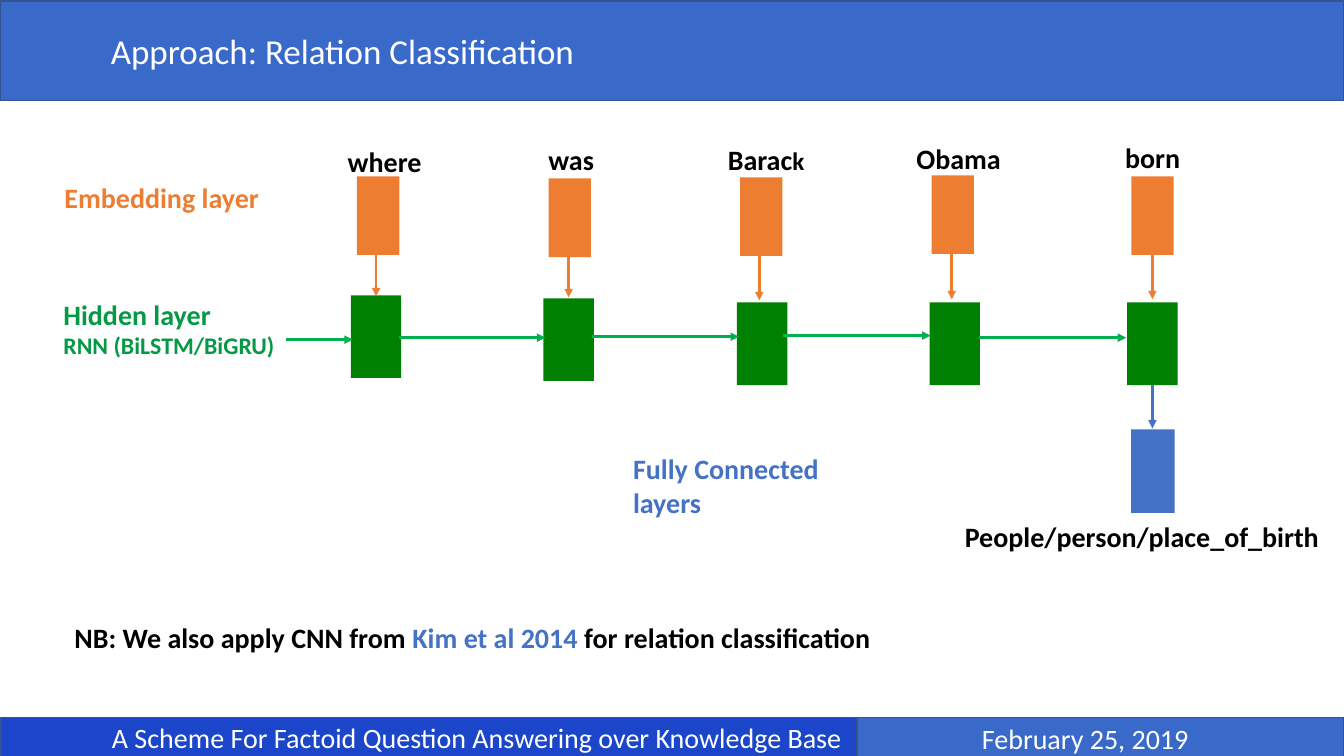
from lxml import etree
from pptx import Presentation
from pptx.dml.color import RGBColor
from pptx.enum.shapes import MSO_CONNECTOR, MSO_SHAPE
from pptx.enum.text import MSO_ANCHOR, MSO_AUTO_SIZE, PP_ALIGN
from pptx.oxml.ns import qn
from pptx.util import Inches, Pt

COLORS = {
    "header": "3A6AC9", "footer": "1B46CA", "border": "325491",
    "embedding": "ED7D31", "hidden": "008000", "hidden_text": "059946",
    "recurrent": "00B050", "dense": "4472C4", "black": "000000", "white": "FFFFFF",
}


def color(name):
    return RGBColor.from_string(COLORS[name])


def write(shape, lines, wrap=True):
    """Fill a shape with lines, each a list of (text, size, color, bold) runs."""
    frame = shape.text_frame
    frame.word_wrap = wrap
    frame.auto_size = MSO_AUTO_SIZE.NONE
    for i, line in enumerate(lines):
        paragraph = frame.paragraphs[0] if i == 0 else frame.add_paragraph()
        for text, size, color_name, bold in line:
            run = paragraph.add_run()
            run.text = text
            run.font.name = "Calibri"
            run.font.size = Pt(size)
            run.font.bold = bold
            run.font.color.rgb = color(color_name)


prs = Presentation()
prs.slide_width, prs.slide_height = Inches(13.33), Inches(7.5)
slide = prs.slides.add_slide(prs.slide_layouts[5])
shapes = slide.shapes

# Header and footer bars
title = shapes.title
title.left, title.top, title.width, title.height = (
    Inches(0), Inches(0.01), Inches(13.33), Inches(0.99))
topic = shapes.add_shape(
    MSO_SHAPE.RECTANGLE, Inches(0.01), Inches(7.12), Inches(8.49), Inches(0.39))
date = shapes.add_shape(
    MSO_SHAPE.RECTANGLE, Inches(8.5), Inches(7.12), Inches(4.83), Inches(0.41))
bars = [
    (title, "Approach: Relation Classification", 25, "header", PP_ALIGN.LEFT, 1.1, 0.1),
    (topic, "A Scheme For Factoid Question Answering over Knowledge Base",
     20, "footer", PP_ALIGN.LEFT, 1.1, 0),
    (date, "February 25, 2019", 20, "header", PP_ALIGN.CENTER, 0.1, 0.4),
]
for bar, text, size, fill, align, left_margin, right_margin in bars:
    bar.fill.solid()
    bar.fill.fore_color.rgb = color(fill)
    bar.line.color.rgb = color("border")
    bar.line.width = Pt(1)
    write(bar, [[(text, size, "white", False)]])
    bar.text_frame.vertical_anchor = MSO_ANCHOR.MIDDLE
    bar.text_frame.margin_left = Inches(left_margin)
    bar.text_frame.margin_right = Inches(right_margin)
    bar.text_frame.paragraphs[0].alignment = align
for bar in (topic, date):
    bar.shadow.inherit = False

# One column per word: word, its left and top, embedding left and top,
# hidden left and top, x and end of the arrow between the two layers
words = [
    ([("where", 20)], 3.35, 1.38, 3.54, 1.75, 3.48, 2.93, 3.73, 2.94),
    ([("was", 20)], 5.34, 1.36, 5.44, 1.77, 5.39, 2.96, 5.64, 2.95),
    ([("Barac", 20), ("k", 18)], 7.12, 1.36, 7.34, 1.76, 7.31, 3, 7.53, 2.98),
    ([("Obama", 20)], 8.99, 1.35, 9.24, 1.74, 9.22, 3, 9.44, 2.97),
    ([("born", 20)], 11.06, 1.34, 11.22, 1.75, 11.18, 3, 11.43, 2.97),
]
cells = [(11.22, 4.26, 0.43, 0.83, "dense")]
arrows = [(11.43, 3.82, 11.43, 4.25, "dense")]
labels = [(9.47, 5.1, 3.75, 0.44, False,
           [[("People/person/place_of_birth", 20, "black", True)]])]
for parts, word_x, word_y, embed_x, embed_y, hidden_x, hidden_y, arrow_x, arrow_end in words:
    cells.append((embed_x, embed_y, 0.42, 0.78, "embedding"))
    cells.append((hidden_x, hidden_y, 0.5, 0.82, "hidden"))
    arrows.append((arrow_x, embed_y + 0.77, arrow_x, arrow_end, "embedding"))
    labels.append((word_x, word_y, 1.05, 0.44, False,
                   [[(text, size, "black", True) for text, size in parts]]))

# Recurrent links between hidden cells
for start, end, y in [(2.84, 3.5, 3.37), (3.96, 5.41, 3.35), (5.87, 7.33, 3.34),
                      (7.77, 9.23, 3.33), (9.71, 11.17, 3.35)]:
    arrows.append((start, y, end, y, "recurrent"))

# Layer names and note
labels += [
    (0.54, 1.74, 2.32, 0.53, True, [[("Embedding layer", 20, "embedding", True)]]),
    (0.53, 2.9, 2.32, 1.06, True, [[("Hidden layer", 20, "hidden_text", True)],
                                   [("RNN (BiLSTM/BiGRU)", 17, "hidden_text", True)]]),
    (6.18, 4.43, 2.32, 0.76, True, [[("Fully Connected layers", 20, "dense", True)]]),
    (0.64, 6.11, 12.07, 0.77, True, [[
        ("NB: We also apply CNN from ", 20, "black", True),
        ("Kim et al 2014", 20, "dense", True),
        (" for relation classification", 20, "black", True)]]),
]

for x, y, width, height, fill in cells:
    cell = shapes.add_shape(
        MSO_SHAPE.RECTANGLE, Inches(x), Inches(y), Inches(width), Inches(height))
    cell.shadow.inherit = False
    cell.fill.solid()
    cell.fill.fore_color.rgb = color(fill)
    cell.line.fill.background()

for x1, y1, x2, y2, stroke in arrows:
    arrow = shapes.add_connector(
        MSO_CONNECTOR.STRAIGHT, Inches(x1), Inches(y1), Inches(x2), Inches(y2))
    arrow.line.color.rgb = color(stroke)
    arrow.line.width = Pt(2)
    etree.SubElement(arrow.line._get_or_add_ln(), qn("a:tailEnd"), type="triangle")
    etree.SubElement(arrow._element.spPr, qn("a:effectLst"))

for x, y, width, height, wrap, lines in labels:
    label = shapes.add_textbox(Inches(x), Inches(y), Inches(width), Inches(height))
    write(label, lines, wrap)

prs.save("out.pptx")
